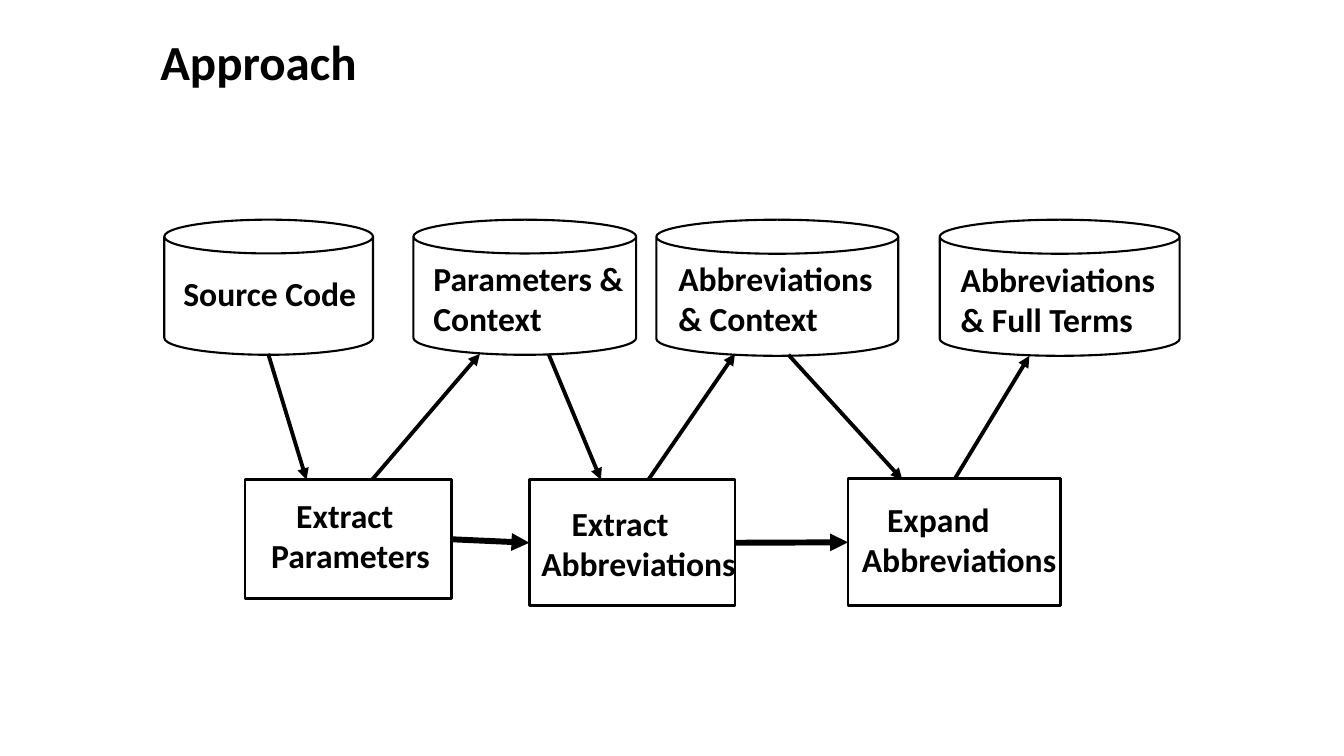
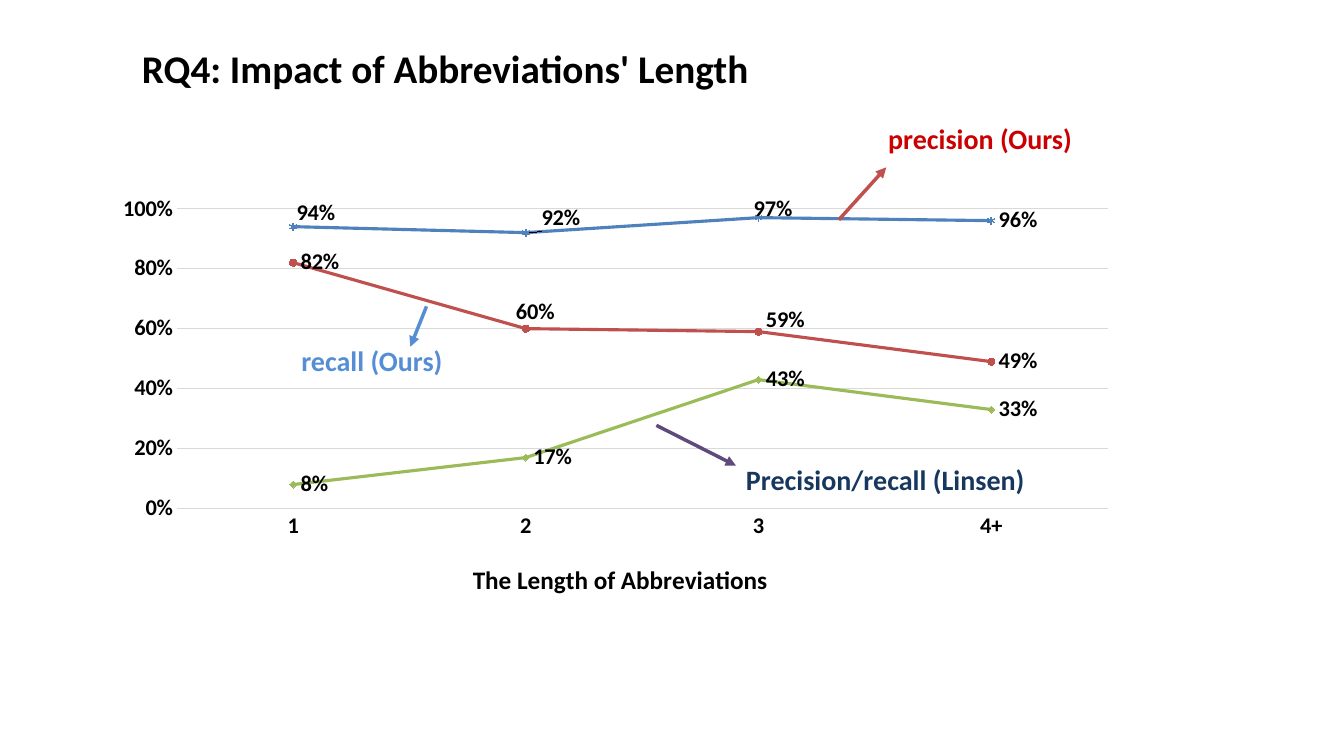
from lxml import etree
from pptx import Presentation
from pptx.chart.data import CategoryChartData
from pptx.dml.color import RGBColor
from pptx.enum.chart import XL_CHART_TYPE, XL_LABEL_POSITION, XL_MARKER_STYLE, XL_TICK_MARK
from pptx.enum.shapes import MSO_CONNECTOR, MSO_SHAPE
from pptx.enum.text import MSO_ANCHOR
from pptx.oxml import parse_xml
from pptx.oxml.ns import nsdecls, qn
from pptx.util import Inches, Pt

CAN, RECT = MSO_SHAPE.CAN, MSO_SHAPE.RECTANGLE
LINE = MSO_CONNECTOR.STRAIGHT
MIDDLE = MSO_ANCHOR.MIDDLE
CHART = XL_CHART_TYPE.LINE_MARKERS
RIGHT = XL_LABEL_POSITION.RIGHT
NO_TICK = XL_TICK_MARK.NONE
STAR, DOT, GEM = XL_MARKER_STYLE.STAR, XL_MARKER_STYLE.CIRCLE, XL_MARKER_STYLE.DIAMOND

BLACK, GREY = "000000", "D9D9D9"
BLUE, RED, GREEN = "4F81BD", "C0504D", "9BBB59"
BOLD = {"name": "Calibri", "bold": True}
rgb = RGBColor.from_string


def write(slide, words, box, size, color=BLACK, indent=0):
    """Add a bold text box, with an optional first-line indent."""
    frame = slide.shapes.add_textbox(*map(Inches, box)).text_frame
    frame.word_wrap = True
    para = frame.paragraphs[0]
    para.text = words
    if indent:
        para._p.get_or_add_pPr().set("indent", str(Inches(indent)))
    font = para.runs[0].font
    for key, value in {**BOLD, "size": Pt(size)}.items():
        setattr(font, key, value)
    font.color.rgb = rgb(color)
    return frame


def arrow(slide, start, end, width, color=BLACK):
    """Add a straight line with a triangle head at its end."""
    link = slide.shapes.add_connector(LINE, *map(Inches, start + end))
    link.line.width = Pt(width)
    link.line.color.rgb = rgb(color)
    etree.SubElement(link.line._get_or_add_ln(), qn("a:tailEnd"), type="triangle")
    etree.SubElement(link._element.spPr, qn("a:effectLst"))
    return link


deck = Presentation()
deck.slide_width, deck.slide_height = Inches(13.33), Inches(7.5)
blank = deck.slide_layouts[6]

# Slide 1: approach
slide = deck.slides.add_slide(blank)
title = write(slide, "Approach", (1.52, 0.28, 2.27, 0.64), 35)
title.vertical_anchor = MIDDLE
title.margin_left = title.margin_right = Inches(0.07)
title.margin_top = title.margin_bottom = Inches(0.04)

# Data stores and steps: kind, outline, shape box, words, text box, indent
nodes = [
    (CAN, 1.5, (1.63, 2.18, 2.07, 1.34), "Source Code", (1.72, 2.66, 1.98, 0.5), 0),
    (CAN, 1.5, (4.1, 2.18, 2.21, 1.34), "Parameters & Context", (4.2, 2.51, 2.12, 0.94), 0),
    (CAN, 1.5, (6.51, 2.18, 2.4, 1.35), "Abbreviations & Context", (6.63, 2.51, 2.3, 0.91), 0),
    (CAN, 1.5, (9.32, 2.18, 2.38, 1.35), "Abbreviations & Full Terms", (9.43, 2.52, 2.28, 0.91), 0),
    (RECT, 2, (2.43, 4.76, 2.05, 1.18), "Extract Parameters", (2.59, 4.86, 1.93, 0.91), 0.25),
    (RECT, 2, (5.25, 4.76, 2.04, 1.25), "Extract Abbreviations", (5.27, 4.94, 2.28, 0.91), 0.3),
    (RECT, 2, (8.41, 4.75, 2.11, 1.26), "Expand Abbreviations", (8.45, 4.9, 2.29, 0.91), 0.25),
]
steps = []
for kind, width, box, words, area, indent in nodes:
    shape = slide.shapes.add_shape(kind, *map(Inches, box))
    shape.shadow.inherit = False
    shape.fill.background()
    shape.line.color.rgb = rgb(BLACK)
    shape.line.width = Pt(width)
    write(slide, words, area, 24, indent=indent)
    if kind == RECT:
        steps.append(shape)

# Arrows between stores and steps
for start, end in [
    ((2.66, 3.51), (3.04, 4.76)),
    ((3.69, 4.76), (4.76, 3.51)),
    ((5.44, 3.51), (5.96, 4.76)),
    ((6.43, 4.76), (7.29, 3.51)),
    ((7.82, 3.52), (8.95, 4.76)),
    ((9.47, 4.75), (10.21, 3.53)),
]:
    arrow(slide, start, end, 2.75)

# Arrows from step to step
for left, right in zip(steps, steps[1:]):
    link = arrow(slide, (0, 0), (1, 1), 4.25)
    link.begin_connect(left, 3)
    link.end_connect(right, 1)

# Slide 2: line chart
slide = deck.slides.add_slide(blank)
write(slide, "RQ4: Impact of Abbreviations' Length", (1.31, 0.39, 9.89, 0.57), 28)

# Values, colour, marker, and label shifts by point
lines = [
    ((0.94, 0.92, 0.97, 0.96), BLUE, STAR, {0: (-0.004, -0.033), 1: (0.008, -0.035), 2: (-0.012, -0.02)}),
    ((0.82, 0.6, 0.59, 0.49), RED, DOT, {1: (-0.017, -0.038), 2: (0, -0.028)}),
    ((0.08, 0.17, 0.43, 0.33), GREEN, GEM, {}),
]
data = CategoryChartData(number_format="0%")
data.categories = ["1", "2", "3", "4+"]
for num, row in enumerate(lines, 1):
    data.add_series(f"Series {num}", row[0])
spot = map(Inches, (1.02, 1.86, 10.18, 4.21))
chart = slide.shapes.add_chart(CHART, *spot, data).chart
chart.has_legend = chart.has_title = False
fonts = [(chart.font, 16)]

for series, (_, color, mark, shifts) in zip(chart.plots[0].series, lines):
    series.smooth = False
    series.format.line.color.rgb = rgb(color)
    series.format.line.width = Pt(2.25)
    marker = series.marker
    marker.style, marker.size = mark, 5
    marker.format.line.color.rgb = rgb(color)
    if mark == STAR:
        marker.format.fill.background()
    else:
        marker.format.fill.solid()
        marker.format.fill.fore_color.rgb = rgb(color)
    labels = series.data_labels
    labels.show_value = True
    labels.position = RIGHT
    labels.number_format, labels.number_format_is_linked = "0%", False
    fonts.append((labels.font, 16))
    for num in shifts:
        label = series.points[num].data_label
        label.position = RIGHT
        fonts.append((label.font, 16))
    for node, (x, y) in zip(series._element.xpath(".//c:dLbl"), shifts.values()):
        node.find(qn("c:idx")).addnext(parse_xml(
            f'<c:layout {nsdecls("c")}><c:manualLayout>'
            f'<c:x val="{x}"/><c:y val="{y}"/></c:manualLayout></c:layout>'))

# Axes
cats, vals = chart.category_axis, chart.value_axis
for axis in (cats, vals):
    axis.major_tick_mark = axis.minor_tick_mark = NO_TICK
    fonts.append((axis.tick_labels.font, 16))
vals.minimum_scale, vals.maximum_scale, vals.major_unit = 0, 1, 0.2
vals.tick_labels.number_format = "0%"
vals.tick_labels.number_format_is_linked = False
vals.format.line.fill.background()
for line in (cats.format.line, vals.major_gridlines.format.line):
    line.color.rgb = rgb(GREY)
    line.width = Pt(0.75)
para = cats.axis_title.text_frame.paragraphs[0]
para.text = "The Length of Abbreviations"
fonts.append((para.runs[0].font, 18))

for font, size in fonts:
    for key, value in {**BOLD, "size": Pt(size)}.items():
        setattr(font, key, value)
    font.color.rgb = rgb(BLACK)

# Place the plot and the axis title
plot = chart._chartSpace.chart.plotArea
name = cats.axis_title._element
for old in plot.findall(qn("c:layout")) + name.findall(qn("c:layout")):
    old.getparent().remove(old)
plot.insert(0, parse_xml(
    f'<c:layout {nsdecls("c")}><c:manualLayout><c:layoutTarget val="inner"/>'
    '<c:xMode val="edge"/><c:yMode val="edge"/><c:x val="0.072"/><c:y val="0.05"/>'
    '<c:w val="0.907"/><c:h val="0.707"/></c:manualLayout></c:layout>'))
name.find(qn("c:tx")).addnext(parse_xml(
    f'<c:layout {nsdecls("c")}><c:manualLayout><c:xMode val="edge"/><c:yMode val="edge"/>'
    '<c:x val="0.356"/><c:y val="0.873"/></c:manualLayout></c:layout>'))

# Callouts: words, box, text colour, arrow ends, arrow colour
for words, box, color, start, end, tint in [
    ("precision (Ours)", (8.71, 1.16, 2.99, 0.44), "CC0000", (8.32, 2.18), (8.79, 1.66), RED),
    ("recall (Ours)", (2.89, 3.36, 2.99, 0.44), "558ED5", (4.23, 3.04), (4.07, 3.44), "558ED5"),
    ("Precision/recall (Linsen)", (7.3, 4.54, 3.39, 0.44), "17375E", (6.51, 4.22), (7.3, 4.62), "604A7B"),
]:
    arrow(slide, start, end, 2.5, tint)
    write(slide, words, box, 20, color)

deck.save("out.pptx")
